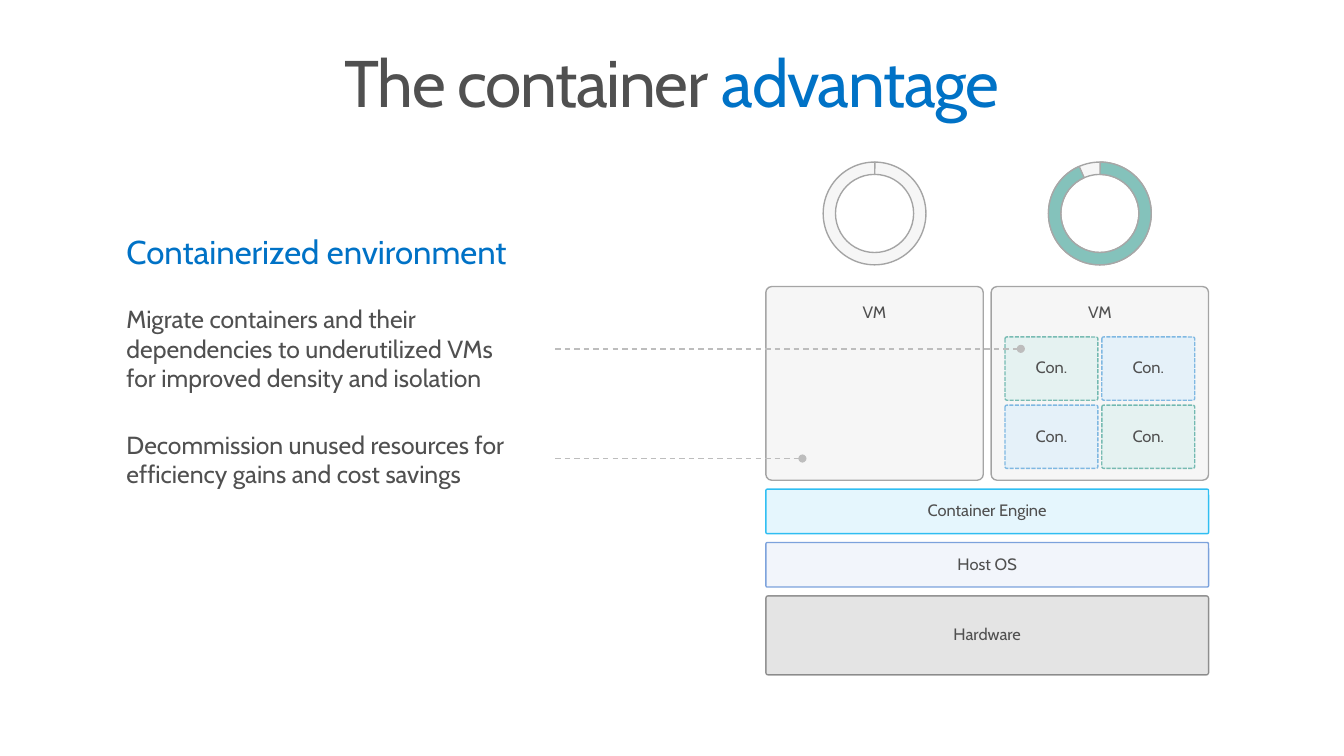
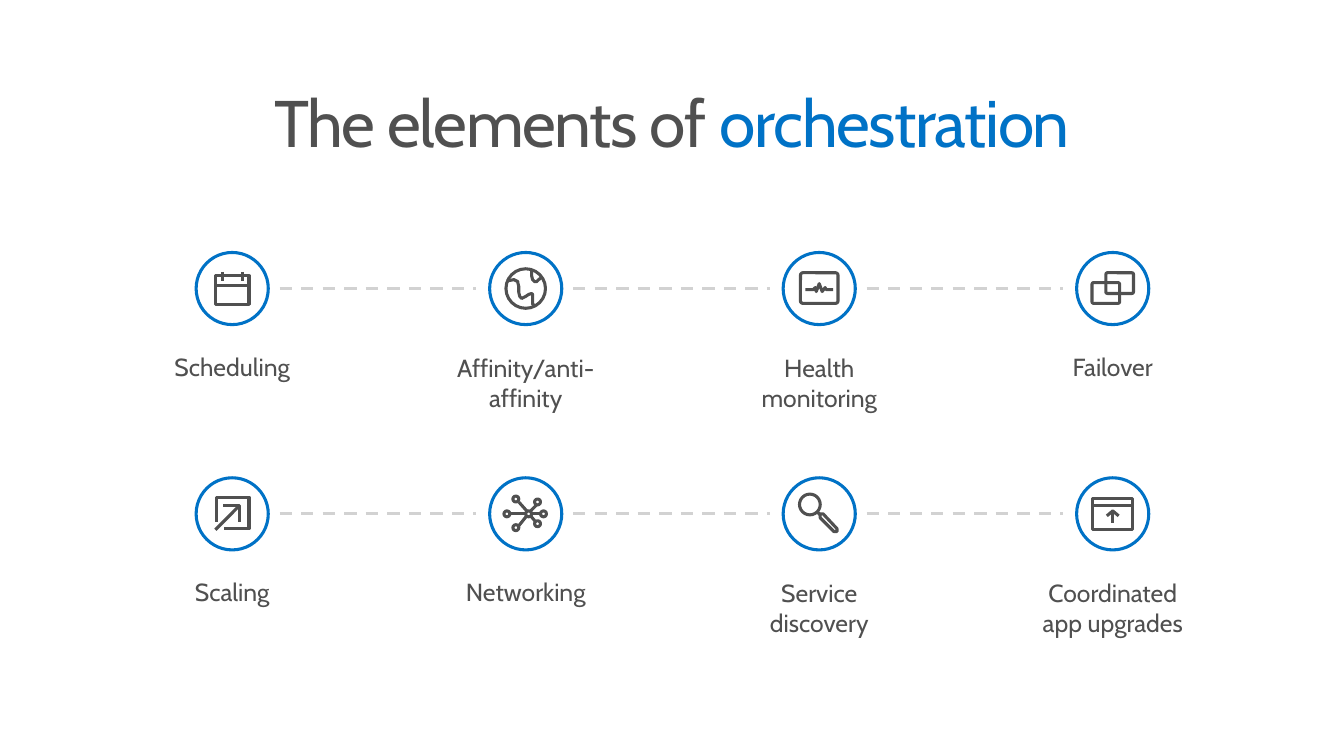
from pptx import Presentation
from pptx.dml.color import RGBColor
from pptx.enum.dml import MSO_LINE
from pptx.enum.shapes import MSO_CONNECTOR, MSO_SHAPE
from pptx.enum.text import MSO_ANCHOR, PP_ALIGN
from pptx.oxml.ns import qn
from pptx.util import Inches, Pt
from lxml import etree

ROUND, RECT, OVAL = MSO_SHAPE.ROUNDED_RECTANGLE, MSO_SHAPE.RECTANGLE, MSO_SHAPE.OVAL
DONUT, ARC = MSO_SHAPE.DONUT, MSO_SHAPE.BLOCK_ARC
LINE = MSO_CONNECTOR.STRAIGHT
DASH, DOT = MSO_LINE.DASH, MSO_LINE.SQUARE_DOT
LEFT, CENTER = PP_ALIGN.LEFT, PP_ALIGN.CENTER
TOP, MIDDLE = MSO_ANCHOR.TOP, MSO_ANCHOR.MIDDLE

FONT = "Cabin"
COLORS = {
    "gray": "505050", "blue": "0072C6", "white": "FFFFFF", "navy": "004BBC",
    "cyan": "00B0F0", "teal": "008272", "mint": "E5F2F1", "ice": "E5F1F9",
    "sky": "7FB8E2", "ring": "84C2BB", "edge": "A7A7A7", "lead": "BDBDBD",
    "link": "D2D2D2",
}


def style(item, line, width, fill=None, dash=None, clear=(100, 100)):
    """Set line and fill; clear holds the opacity of fill and line in percent."""
    props = item.element.spPr
    item.line.color.rgb = RGBColor.from_string(COLORS[line])
    item.line.width = Pt(width)
    if dash:
        item.line.dash_style = dash
    if fill:
        item.fill.solid()
        item.fill.fore_color.rgb = RGBColor.from_string(COLORS[fill])
    elif hasattr(item, "fill"):
        item.fill.background()
    for color, alpha in zip(props.iter(qn("a:srgbClr")), clear if fill else clear[1:]):
        if alpha < 100:
            etree.SubElement(color, qn("a:alpha"), val=str(alpha * 1000))
    etree.SubElement(props, qn("a:effectLst"))


def write(item, parts, size, align=CENTER, anchor=TOP, inset=(0.16, 0.16), space=1.0):
    """Fill a shape with one paragraph made of (text, colour) runs."""
    frame = item.text_frame
    frame.word_wrap = True
    frame.vertical_anchor = anchor
    frame.margin_left = frame.margin_right = Inches(inset[0])
    frame.margin_top = frame.margin_bottom = Inches(inset[1])
    para = frame.paragraphs[0]
    para.alignment = align
    para.line_spacing = space
    for text, color in parts:
        run = para.add_run()
        run.text = text
        run.font.name = FONT
        run.font.size = Pt(size)
        run.font.color.rgb = RGBColor.from_string(COLORS[color])


deck = Presentation()
deck.slide_width, deck.slide_height = Inches(13.6), Inches(7.65)

# Both slides with their titles
slides = []
for top, start, end in (
    (0.41, "The container ", "advantage"),
    (0.82, "The elements of ", "orchestration"),
):
    slide = deck.slides.add_slide(deck.slide_layouts[6])
    title = slide.shapes.add_textbox(Inches(0.3), Inches(top), Inches(13), Inches(1))
    write(title, [(start, "gray"), (end, "blue")], 48, inset=(0.16, 0.1), space=0.9)
    for props in title.element.iter(qn("a:rPr")):
        props.set("spc", "-100")
    slides.append(slide)

# Slide 1: stack of layers, virtual machines and containers
shapes = slides[0].shapes
blocks = [
    ("Hardware", 7.75, 6.03, 4.48, 0.8, "gray", "gray", (15, 60), None, MIDDLE),
    ("Host OS", 7.75, 5.49, 4.48, 0.45, "navy", "navy", (5, 50), None, MIDDLE),
    ("Container Engine", 7.75, 4.95, 4.48, 0.45, "cyan", "cyan", (10, 80), None, MIDDLE),
]
for left in (10.03, 7.75):
    blocks.append(("VM", left, 2.9, 2.2, 1.96, "gray", "gray", (5, 50), None, TOP))
for row in range(2):
    for col in range(2):
        look = ("mint", "teal", (100, 50)) if row == col else ("ice", "sky", (100, 100))
        blocks.append(("Con.", 10.17 + 0.98 * col, 3.41 + 0.69 * row, 0.94, 0.64,
                       *look, DOT, MIDDLE))
for text, x, y, w, h, fill, line, clear, dash, anchor in blocks:
    block = shapes.add_shape(ROUND, Inches(x), Inches(y), Inches(w), Inches(h))
    block.adjustments[0] = 0.03
    style(block, line, 1, fill, dash, clear)
    write(block, [(text, "gray")], 12, CENTER, anchor, (0.2, 0.16), 0.9)

# Usage rings above the machines; arc ends are in units of 5/3 degrees
for left, end in ((8.33, 162.21), (10.61, 147.81)):
    box = [Inches(n) for n in (left, 1.64, 1.04, 1.04)]
    track = shapes.add_shape(DONUT, *box)
    track.adjustments[0] = 0.12
    style(track, "gray", 1, "gray", clear=(5, 50))
    usage = shapes.add_shape(ARC, *box)
    for i, value in enumerate((162.17, end, 0.12)):
        usage.adjustments[i] = value
    style(usage, "edge", 1, "ring")

# Text on the left
for text, y, w, h, size, color, anchor in (
    ("Containerized environment", 2.18, 5.86, 0.73, 24, "blue", TOP),
    ("Migrate containers and their dependencies to underutilized VMs for improved "
     "density and isolation", 2.91, 4.36, 1.23, 18, "gray", MIDDLE),
    ("Decommission unused resources for efficiency gains and cost savings",
     4.18, 4.78, 0.93, 18, "gray", MIDDLE),
):
    note = shapes.add_textbox(Inches(1.12), Inches(y), Inches(w), Inches(h))
    write(note, [(text, color)], size, LEFT, anchor)

# Leader lines ending in a dot
for y, end in ((3.53, 10.33), (4.64, 8.12)):
    lead = shapes.add_connector(LINE, Inches(5.62), Inches(y), Inches(end), Inches(y))
    style(lead, "lead", 1, dash=DASH)
    etree.SubElement(lead.element.spPr.find(qn("a:ln")), qn("a:tailEnd"), type="oval")

# Slide 2: icon parts in hundredths of an inch from the circle's centre.
# Shapes take left, top, width, height; "line" takes both ends; "path" is a polyline.
calendar = [
    (RECT, (-17, -13, 34, 29)), ("line", (-10, -17, -10, -8)),
    ("line", (10, -17, 10, -8)), ("line", (-17, -3, 17, -3)),
]
globe = [
    (OVAL, (-20, -20, 40, 40)),
    ("path", (9, 17, 7, 16, 7, 10, 7, 6, 6, 5, 3, 6, 0, 8, -2, 9, -4, 10, -6, 8, -7, 4,
              -7, 0, -7, -2, -8, -6, -8, -7, -12, -9, -17, -8, -18, -10)),
    ("path", (16, -11, 13, -9, 11, -7, 9, -7, 7, -9, 6, -13, 6, -17, 6, -18)),
]
pulse = [
    (ROUND, (-19, -16, 38, 31)),
    ("path", (-14, 1, -6, 1, -4, -1, -3, 3, 0, -5, 3, 3, 6, -1, 7, 1, 14, 1)),
]
windows = [(ROUND, (-7, -16, 28, 21)), (ROUND, (-21, -6, 28, 21))]
scale = [
    ("path", (7, 8, 7, -8, -9, -8)),
    ("path", (-8, 15, 17, 15, 17, -17, -16, -17, -16, 8)), ("line", (7, -8, -17, 16)),
]
network = [(OVAL, (x, -3, 6, 6)) for x in (0, 15, -22)]
network += [(OVAL, (x, y, 6, 6)) for x, y in ((9, 7), (-13, 11), (9, -15), (-13, -18))]
network += [("line", ends) for ends in (
    (15, 0, 6, 0), (0, 0, -16, 0), (-7, 12, 1, 2),
    (5, 2, 10, 8), (-7, -12, 1, -3), (5, -3, 11, -9),
)]
lens = [
    (OVAL, (-20, -20, 21, 21)), ("line", (-2, -2, 1, 1)),
    ("path", (1, 4, 15, 18, 18, 18, 18, 15, 4, 0, 1, 0, 1, 4)),
]
upgrade = [
    (RECT, (-20, -16, 40, 32)), ("line", (-20, -8, 20, -8)),
    ("line", (0, 9, 0, -3)), ("path", (-6, 2, 0, -3, 6, 2)),
]
rows = [
    (2.92, [("Scheduling", calendar), ("Affinity/anti-affinity", globe),
            ("Health monitoring", pulse), ("Failover", windows)]),
    (5.2, [("Scaling", scale), ("Networking", network),
           ("Service discovery", lens), ("Coordinated app upgrades", upgrade)]),
]
WIDTHS = (1.81, 2.25, 1.81, 2.02)
SIZE, STEP = 0.73, 2.97

shapes = slides[1].shapes
for mid, cells in rows:
    for col, (text, icon) in enumerate(cells):
        x, width = 2.35 + STEP * col, WIDTHS[col]
        label = shapes.add_textbox(Inches(x - width / 2), Inches(mid + 0.49),
                                   Inches(width), Inches(0.93))
        write(label, [(text, "gray")], 18)
        if col < len(cells) - 1:
            link = shapes.add_connector(LINE, Inches(x + 0.48), Inches(mid),
                                        Inches(x + STEP - 0.5), Inches(mid))
            style(link, "link", 2.25, dash=DASH)
        disc = shapes.add_shape(OVAL, Inches(x - SIZE / 2), Inches(mid - SIZE / 2),
                                Inches(SIZE), Inches(SIZE))
        style(disc, "blue", 2.25, "white")

        # Icon inside the circle
        for kind, nums in icon:
            spots = [(Inches(x + a / 100), Inches(mid + b / 100))
                     for a, b in zip(nums[::2], nums[1::2])]
            if kind == "path":
                pen = shapes.build_freeform(*spots[0])
                pen.add_line_segments(spots[1:], close=spots[0] == spots[-1])
                part = pen.convert_to_shape()
            elif kind == "line":
                part = shapes.add_connector(LINE, *spots[0], *spots[1])
            else:
                part = shapes.add_shape(kind, *spots[0], Inches(nums[2] / 100),
                                        Inches(nums[3] / 100))
                if kind == ROUND:
                    part.adjustments[0] = 0.08
            style(part, "gray", 2.25)

deck.save("out.pptx")
